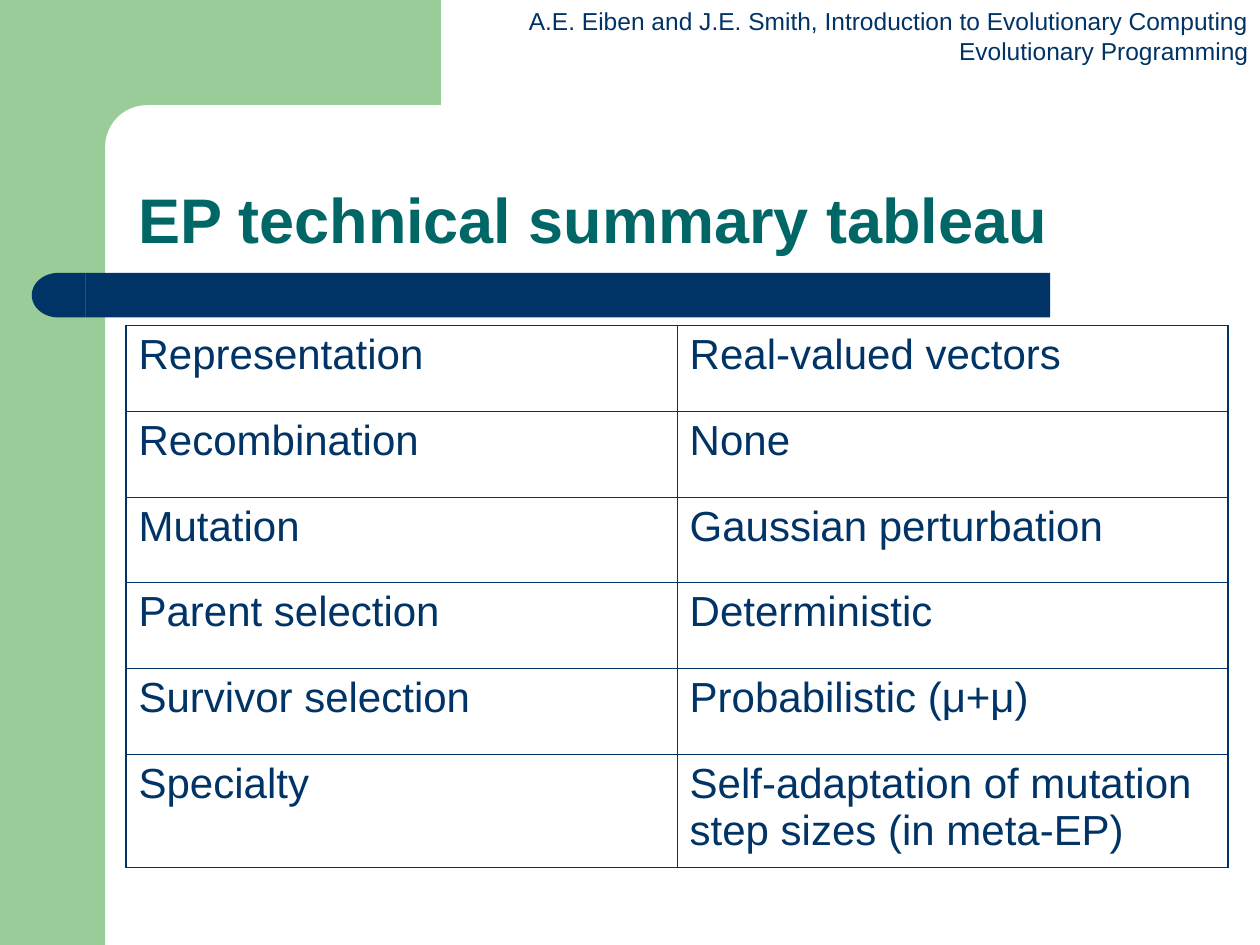
import dataclasses

import lxml.etree
import pptx
import pptx.dml.color
import pptx.enum.shapes
import pptx.enum.text
import pptx.oxml.ns
import pptx.util

Cm = pptx.util.Cm
Pt = pptx.util.Pt
RGBColor = pptx.dml.color.RGBColor
Shape = pptx.enum.shapes.MSO_SHAPE
Align = pptx.enum.text.PP_ALIGN
Anchor = pptx.enum.text.MSO_ANCHOR


@dataclasses.dataclass(frozen=True)
class Theme:
    font: str = "Arial"
    green: str = "99CC99"
    white: str = "FFFFFF"
    navy: str = "003366"
    teal: str = "006666"
    header_size: int = 14
    title_size: int = 36
    table_size: int = 24
    outer_line: float = 1.08
    inner_line: float = 0.45


THEME = Theme()
HEADER = [
    "A.E. Eiben and J.E. Smith, Introduction to Evolutionary Computing",
    "Evolutionary Programming",
]
SUMMARY = [
    ("Representation", "Real-valued vectors"),
    ("Recombination", "None"),
    ("Mutation", "Gaussian perturbation"),
    ("Parent selection", "Deterministic"),
    ("Survivor selection", "Probabilistic (μ+μ)"),
    ("Specialty", "Self-adaptation of mutation step sizes (in meta-EP)"),
]


def add_block(page, kind, box, color, roundness=None):
    block = page.shapes.add_shape(kind, *map(Cm, box))
    block.shadow.inherit = False
    block.fill.solid()
    block.fill.fore_color.rgb = RGBColor.from_string(color)
    block.line.fill.background()
    if roundness is not None:
        block.adjustments[0] = roundness
    return block


def write_span(para, text, size, color, bold=False):
    span = para.add_run()
    span.text = text
    span.font.name = THEME.font
    span.font.size = Pt(size)
    span.font.bold = bold
    span.font.color.rgb = RGBColor.from_string(color)


def add_frame(page, box):
    left, top, width, height = box
    band = 2.12
    add_block(page, Shape.RECTANGLE, (left, top, band, height), THEME.green)
    add_block(page, Shape.RECTANGLE, (left + 1.9, top, 6.99, 2.97), THEME.green)
    add_block(page, Shape.ROUNDED_RECTANGLE,
              (left + band, top + band, 14.18, 1.69), THEME.white, 0.5)


def add_title_bar(page, box):
    left, top, width, height = box
    cap = 1.08
    add_block(page, Shape.ROUNDED_RECTANGLE,
              (left + cap, top, width - cap, height), THEME.navy, 0)
    end = add_block(page, Shape.FLOWCHART_DELAY, (left, top, cap, height), THEME.navy)
    end.rotation = 180


def add_header(page, box):
    frame = page.shapes.add_textbox(*map(Cm, box)).text_frame
    frame.word_wrap = False
    for index, text in enumerate(HEADER):
        para = frame.add_paragraph() if index else frame.paragraphs[0]
        para.alignment = Align.RIGHT
        write_span(para, text, THEME.header_size, THEME.navy)


def add_title(page, box):
    frame = page.shapes.add_textbox(*map(Cm, box)).text_frame
    frame.word_wrap = True
    frame.vertical_anchor = Anchor.BOTTOM
    para = frame.paragraphs[0]
    para.line_spacing = 0.9
    write_span(para, "EP technical summary tableau",
               THEME.title_size, THEME.teal, bold=True)


def set_borders(cell, outer_sides):
    properties = cell._tc.get_or_add_tcPr()
    for index, side in enumerate(("lnL", "lnR", "lnT", "lnB")):
        points = THEME.outer_line if side in outer_sides else THEME.inner_line
        line = lxml.etree.Element(pptx.oxml.ns.qn("a:" + side), w=str(Pt(points)))
        fill = lxml.etree.SubElement(line, pptx.oxml.ns.qn("a:solidFill"))
        lxml.etree.SubElement(fill, pptx.oxml.ns.qn("a:srgbClr"), val=THEME.navy)
        properties.insert(index, line)


def add_summary(page, box):
    left, top, width, height = box
    rows, columns = len(SUMMARY), len(SUMMARY[0])
    table = page.shapes.add_table(rows, columns, *map(Cm, box)).table
    table.first_row = False
    table.horz_banding = False
    last_height = 2.29
    for row in table.rows:
        row.height = Cm((height - last_height) / (rows - 1))
    table.rows[rows - 1].height = Cm(last_height)
    for row, texts in enumerate(SUMMARY):
        for column, text in enumerate(texts):
            cell = table.cell(row, column)
            cell.fill.background()
            edges = {"lnL": column == 0, "lnR": column == columns - 1,
                     "lnT": row == 0, "lnB": row == rows - 1}
            set_borders(cell, [side for side, outer in edges.items() if outer])
            para = cell.text_frame.paragraphs[0]
            para.space_before = Pt(6)
            write_span(para, text, THEME.table_size, THEME.navy)


def main():
    deck = pptx.Presentation()
    deck.slide_width, deck.slide_height = Cm(25.4), Cm(19.05)
    page = deck.slides.add_slide(deck.slide_layouts[6])
    add_frame(page, (0, 0, 25.4, 19.05))
    add_title_bar(page, (0.64, 5.5, 20.53, 0.9))
    add_header(page, (10.41, 0, 15.01, 1.45))
    add_title(page, (2.54, 2.12, 22.22, 3.18))
    add_summary(page, (2.54, 6.56, 22.22, 10.93))
    deck.save("out.pptx")


if __name__ == "__main__":
    main()
